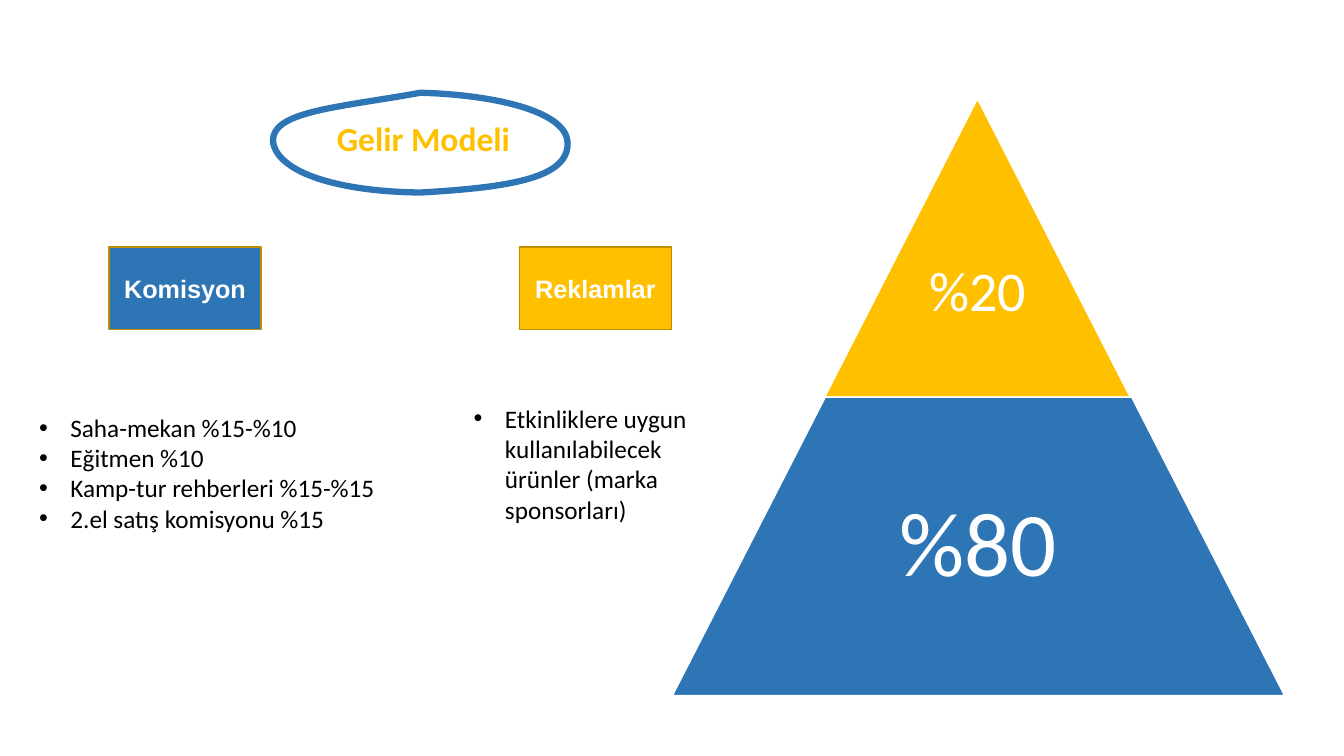
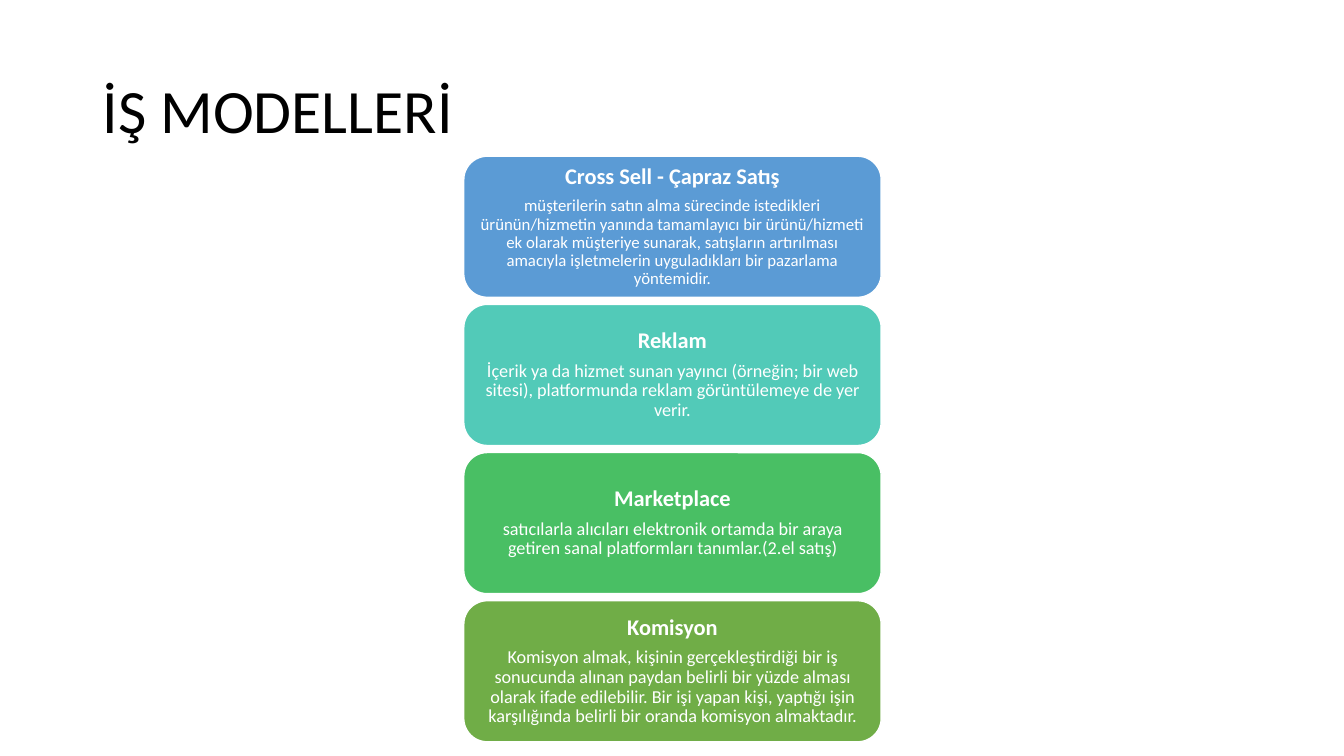
from lxml import etree
from pptx import Presentation
from pptx.dml.color import RGBColor
from pptx.enum.shapes import MSO_SHAPE
from pptx.enum.text import MSO_ANCHOR, MSO_AUTO_SIZE, PP_ALIGN
from pptx.oxml.ns import qn
from pptx.util import Pt

RECT = MSO_SHAPE.RECTANGLE
ROUND = MSO_SHAPE.ROUNDED_RECTANGLE
TRAPEZE = MSO_SHAPE.TRAPEZOID
LEFT, CENTER = PP_ALIGN.LEFT, PP_ALIGN.CENTER
TOP, MIDDLE = MSO_ANCHOR.TOP, MSO_ANCHOR.MIDDLE
FIXED = MSO_AUTO_SIZE.NONE
SCALE = 9144
TITLE_ONLY = 5

WHITE, BLACK = "FFFFFF", "000000"
GOLD, BLUE, BRONZE = "FFC000", "2E75B6", "BD8E00"


def color(code):
    return RGBColor.from_string(code)


def px(size):
    return round(size * SCALE)


def bezier(start, curve, steps=24):
    ends = (start, *curve)
    points = []
    for step in range(1, steps + 1):
        t = step / steps
        u = 1 - t
        mix = (u ** 3, 3 * u * u * t, 3 * u * t * t, t ** 3)
        points.append(tuple(px(sum(m * end[i] for m, end in zip(mix, ends)))
                            for i in (0, 1)))
    return points


class Deck:
    font = "Calibri"

    def __init__(self, width, height):
        self.deck = Presentation()
        self.deck.slide_width = px(width)
        self.deck.slide_height = px(height)
        self.slide = None

    def page(self):
        layout = self.deck.slide_layouts[TITLE_ONLY]
        self.slide = self.deck.slides.add_slide(layout)

    def frame(self, shape, anchor, pads=(10, 5, 10, 5)):
        frame = shape.text_frame
        frame.word_wrap = True
        frame.auto_size = FIXED
        frame.vertical_anchor = anchor
        (frame.margin_left, frame.margin_top,
         frame.margin_right, frame.margin_bottom) = map(px, pads)
        return frame

    def put(self, frame, rows, align=LEFT, space=1.0, after=0, bullet=None):
        for i, (text, size, code, bold, font) in enumerate(rows):
            para = frame.add_paragraph() if i else frame.paragraphs[0]
            para.alignment = align
            para.line_spacing = space
            if after and i < len(rows) - 1:
                para.space_after = Pt(after)
            if bullet:
                self.mark(para, bullet)
            run = para.add_run()
            run.text = text
            run.font.size = Pt(size)
            run.font.bold = bold
            run.font.name = font
            run.font.color.rgb = color(code)

    def mark(self, para, bullet):
        props = para._p.get_or_add_pPr()
        props.set("marL", str(px(31)))
        props.set("indent", str(-px(31)))
        etree.SubElement(props, qn("a:buFont")).set("typeface", "Arial")
        etree.SubElement(props, qn("a:buChar")).set("char", bullet)

    def title(self, text, box, size, code=BLACK, bold=False):
        shape = self.slide.shapes.title
        shape.left, shape.top, shape.width, shape.height = map(px, box)
        frame = self.frame(shape, MIDDLE)
        self.put(frame, [(text, size, code, bold, self.font)], space=0.9)

    def block(self, kind, box, fill, line):
        shape = self.slide.shapes.add_shape(kind, *map(px, box))
        shape.shadow.inherit = False
        shape.fill.solid()
        shape.fill.fore_color.rgb = color(fill)
        shape.line.color.rgb = color(line)
        shape.line.width = Pt(1)
        return shape

    def label(self, text, box, fill):
        shape = self.block(RECT, box, fill, BRONZE)
        frame = self.frame(shape, MIDDLE)
        frame.word_wrap = False
        self.put(frame, [(text, 18, WHITE, True, "Arial")], CENTER)

    def tier(self, text, box, fill, size, lift):
        shape = self.block(TRAPEZE, box, fill, WHITE)
        shape.adjustments[0] = 0.512
        frame = self.frame(shape, MIDDLE, (0, 0, 0, lift))
        frame.word_wrap = False
        self.put(frame, [(text, size, WHITE, False, self.font)], CENTER, 0.9)

    def card(self, head, body, box, fill, size):
        shape = self.block(ROUND, box, fill, WHITE)
        frame = self.frame(shape, MIDDLE, (7, 3, 7, 3))
        rows = [(head, 16, WHITE, True, self.font),
                (body, size, WHITE, False, self.font)]
        self.put(frame, rows, CENTER, 0.9, 5.6)

    def items(self, texts, box):
        shape = self.slide.shapes.add_textbox(*map(px, box))
        rows = [(text, 18, BLACK, False, self.font) for text in texts]
        self.put(self.frame(shape, TOP), rows, bullet="•")

    def ring(self, start, curves, code, width):
        pen = self.slide.shapes.build_freeform(*map(px, start))
        for curve in curves:
            pen.add_line_segments(bezier(start, curve), close=False)
            start = curve[-1]
        pen.add_line_segments([], close=True)
        shape = pen.convert_to_shape()
        shape.shadow.inherit = False
        shape.fill.background()
        shape.line.color.rgb = color(code)
        shape.line.width = Pt(width)


def income(deck):
    deck.page()
    deck.title("Gelir Modeli", (324, 114, 423, 50), 24, GOLD, True)
    deck.ring((271, 142), [
        ((267, 110), (335, 107), (417, 92)),
        ((492, 94), (563, 111), (563, 142)),
        ((564, 177), (504, 186), (417, 191)),
        ((334, 190), (277, 171), (271, 142)),
    ], BLUE, 4.5)
    for text, left, fill in (("Komisyon", 108, BLUE), ("Reklamlar", 515, GOLD)):
        deck.label(text, (left, 245, 151, 82), fill)
    deck.items(["Saha-mekan %15-%10", "Eğitmen %10",
                "Kamp-tur rehberleri %15-%15", "2.el satış komisyonu %15"],
               (29, 404, 360, 131))
    deck.items(["Etkinliklere uygun kullanılabilecek ürünler (marka sponsorları)"],
               (460, 395, 252, 131))
    deck.tier("%20", (818, 98, 303, 296), GOLD, 40, 8)
    deck.tier("%80", (667, 394, 607, 296), BLUE, 65, 47)


def models(deck):
    deck.page()
    deck.title("İŞ MODELLERİ", (92, 40, 1150, 145), 44)
    cards = [
        ("Cross Sell - Çapraz Satış",
         "müşterilerin satın alma sürecinde istedikleri ürünün/hizmetin "
         "yanında tamamlayıcı bir ürünü/hizmeti ek olarak müşteriye sunarak, "
         "satışların artırılması amacıyla işletmelerin uyguladıkları bir "
         "pazarlama yöntemidir.", "5B9BD5", 12),
        ("Reklam",
         "İçerik ya da hizmet sunan yayıncı (örneğin; bir web sitesi), "
         "platformunda reklam görüntülemeye de yer verir.", "52CAB8", 13),
        ("Marketplace",
         "satıcılarla alıcıları elektronik ortamda bir araya getiren sanal "
         "platformları tanımlar.(2.el satış)", "49BF64", 13),
        ("Komisyon",
         "Komisyon almak, kişinin gerçekleştirdiği bir iş sonucunda alınan "
         "paydan belirli bir yüzde alması olarak ifade edilebilir. Bir işi "
         "yapan kişi, yaptığı işin karşılığında belirli bir oranda komisyon "
         "almaktadır.", "70AD47", 13),
    ]
    for i, (head, body, fill, size) in enumerate(cards):
        deck.card(head, body, (460, 155 + 147 * i, 414, 140), fill, size)


def main():
    deck = Deck(1333, 750)
    income(deck)
    models(deck)
    deck.deck.save("out.pptx")


if __name__ == "__main__":
    main()
